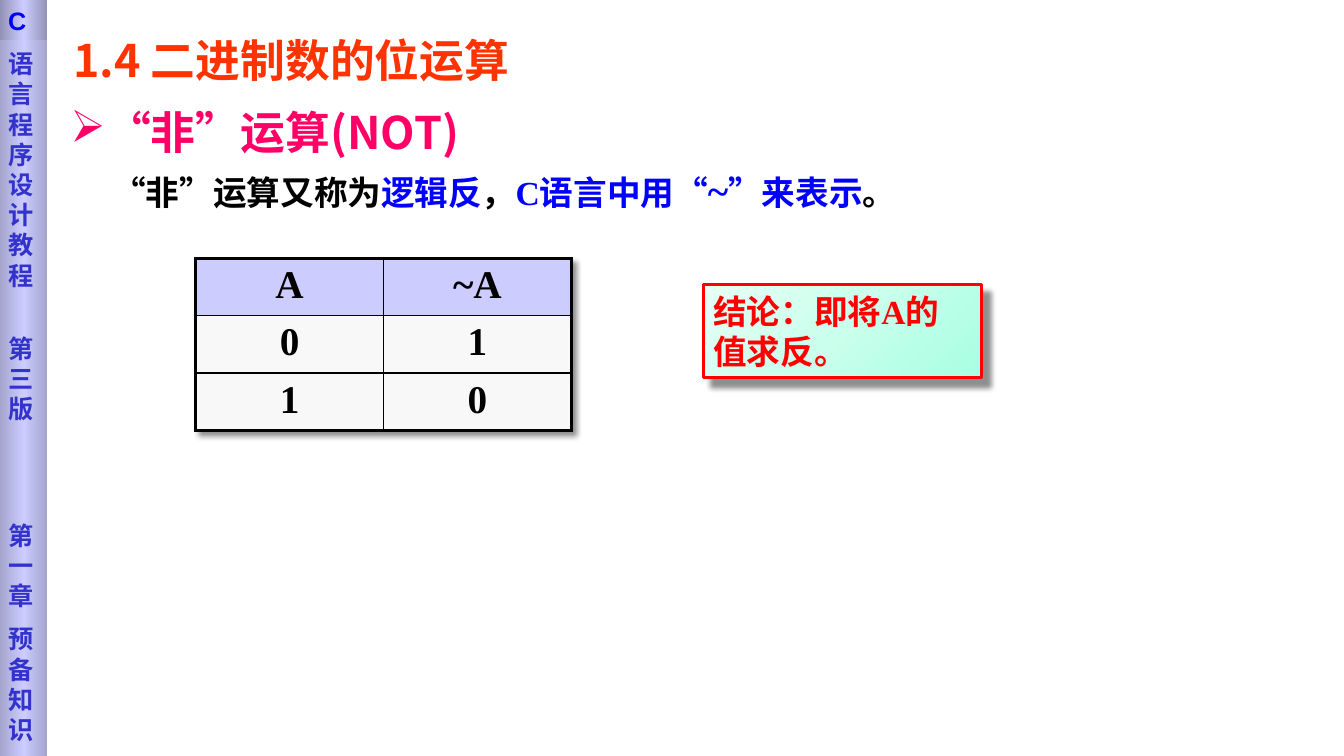
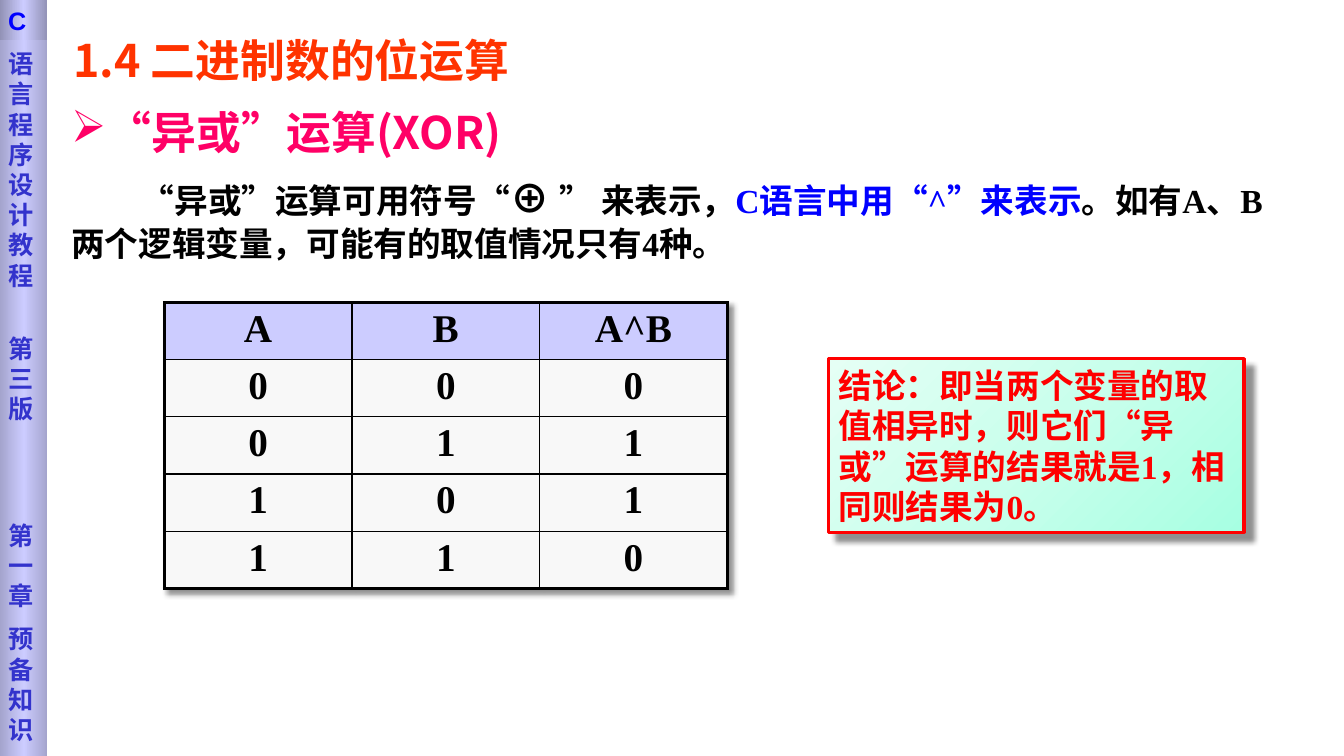
from dataclasses import dataclass
from typing import NamedTuple

from lxml import etree
from pptx import Presentation
from pptx import util as u
from pptx.dml import color
from pptx.enum import shapes, text
from pptx.oxml import ns

COLUMN = u.Inches(13.333) / 160
ROW = u.Inches(7.5) / 90
BLACK, BLUE, RED, PINK, ORANGE, INDIGO = "000000", "0000FF", "FF0000", "FF0066", "FF3300", "3333CC"
HEADER_FILL, CELL_FILL = "CCCCFF", "F8F8F8"
MINT = [(0, "A7FFE2"), (50, "C9FFEC"), (100, "E5FFF5")]
BAR = [(0, "A4A4CD"), (50, "CCCCFF"), (100, "A4A4CD")]
CAP = [(0, "9292B6"), (50, "CCCCFF"), (100, "9292B6")]
SANS, SERIF, LATIN = "Noto Sans CJK SC", "Times New Roman", "Arial"
LINE = 1.2
SECTION = "1.4 二进制数的位运算"


class Area(NamedTuple):
    left: float
    top: float
    width: float
    height: float

    def emu(self) -> tuple[int, int, int, int]:
        return (round(self.left * COLUMN), round(self.top * ROW),
                round(self.width * COLUMN), round(self.height * ROW))


class Part(NamedTuple):
    words: str
    size: float = 24
    hue: str = BLACK
    font: str = SERIF


class SideLine(NamedTuple):
    words: str
    gap: float


@dataclass
class Operation:
    name: str
    english: str
    body: Area
    indent: float
    gap: float
    explanation: list[Part]
    table_left: float
    table_top: float
    truth: list[str]
    conclusion_area: Area
    conclusion: str


SIDE_LINES = [SideLine("语言程序设计教程", 0), SideLine("第三版", 30.5),
              SideLine("第一章", 69), SideLine("预备知识", 9)]

OPERATIONS = [
    Operation(
        "非", "NOT", Area(7.2, 11.9, 106.8, 14.8), 5, 10,
        [Part("“非”运算又称为"), Part("逻辑反", hue=BLUE), Part("，"),
         Part("C语言中用“", hue=BLUE), Part("~", 28, BLUE),
         Part("”来表示", hue=BLUE), Part("。")],
        23.3, 30.8, ["A ~A", "0 1", "1 0"],
        Area(83.75, 33.85, 33.1, 11.15), "即将A的值求反。"),
    Operation(
        "异或", "XOR", Area(7.3, 11.9, 146.3, 23.3), 8.3, 16.5,
        [Part("“异或”运算可用符号“"), Part("⊕", 28), Part(" ", 32),
         Part("” 来表示，"), Part("C语言中用“^”来表示", hue=BLUE),
         Part("。如有A、B两个逻辑变量，可能有的取值情况只有4种。")],
        19.55, 36, ["A B A^B", "0 0 0", "0 1 1", "1 0 1", "1 1 0"],
        Area(98.65, 42.7, 49.45, 20.65),
        "即当两个变量的取值相异时，则它们“异或”运算的结果就是1，相同则结果为0。"),
]


def rgb(value: str) -> color.RGBColor:
    return color.RGBColor.from_string(value)


def child(parent, tag: str, **attributes):
    return etree.SubElement(parent, ns.qn(tag), attributes)


def style_run(run, size: float, hue: str, font: str) -> None:
    run.font.size = u.Pt(size)
    run.font.bold = True
    run.font.color.rgb = rgb(hue)
    run.font.name = font
    properties = run.font._element
    properties.set("lang", "zh-CN")
    child(properties, "a:ea", typeface=SANS)


def write(paragraph, parts: list[Part], leading: float, gap: float = 0) -> None:
    paragraph.alignment = text.PP_ALIGN.LEFT
    paragraph.line_spacing = u.Pt(leading)
    paragraph.space_before = u.Pt(gap)
    for part in parts:
        run = paragraph.add_run()
        run.text = part.words
        style_run(run, part.size, part.hue, part.font)


def add_shadow(holder, opacity: int, blur: float, distance: float, index: int) -> None:
    effects = etree.Element(ns.qn("a:effectLst"))
    shadow = child(effects, "a:outerShdw", blurRad=str(u.Pt(blur)), dist=str(u.Pt(distance)),
                   dir="2700000", algn="ctr", rotWithShape="0")
    child(child(shadow, "a:srgbClr", val=BLACK), "a:alpha", val=str(opacity * 1000))
    holder.insert(index, effects)


def add_panel(slide, area: Area, stops: list[tuple[int, str]], angle: int):
    panel = slide.shapes.add_shape(shapes.MSO_SHAPE.RECTANGLE, *area.emu())
    panel.shadow.inherit = False
    panel.line.fill.background()
    properties = panel._element.spPr
    gradient = etree.Element(ns.qn("a:gradFill"), rotWithShape="1")
    stop_list = child(gradient, "a:gsLst")
    for position, hue in stops:
        stop = child(stop_list, "a:gs", pos=str(position * 1000))
        child(stop, "a:srgbClr", val=hue)
    child(gradient, "a:lin", ang=str(angle * 60000), scaled="0")
    properties.insert(2, gradient)
    panel.text_frame.word_wrap = True
    return panel


def add_sidebar(slide) -> None:
    bar = add_panel(slide, Area(0, 0, 5.65, 90), BAR, 0)
    frame = bar.text_frame
    frame.vertical_anchor = text.MSO_ANCHOR.TOP
    frame.margin_left = u.Inches(0.08)
    frame.margin_top = u.Inches(0.48)
    for index, line in enumerate(SIDE_LINES):
        paragraph = frame.add_paragraph() if index else frame.paragraphs[0]
        write(paragraph, [Part(line.words, 18, INDIGO, SANS)], 18 * LINE, line.gap)

    cap = add_panel(slide, Area(0, 0, 5.65, 4.8), CAP, 0)
    cap.text_frame.margin_left = u.Inches(0.08)
    write(cap.text_frame.paragraphs[0], [Part("C", 18, BLUE, LATIN)], 18 * LINE)


def add_title(slide) -> None:
    title = slide.shapes.title
    title.left, title.top, title.width, title.height = Area(7.5, 3.24, 91, 7.6).emu()
    frame = title.text_frame
    frame.word_wrap = True
    frame.auto_size = text.MSO_AUTO_SIZE.NONE
    frame.vertical_anchor = text.MSO_ANCHOR.TOP
    write(frame.paragraphs[0], [Part(SECTION, 32, ORANGE, SANS)], 32 * LINE)


def add_explanation(slide, operation: Operation) -> None:
    frame = slide.shapes.add_textbox(*operation.body.emu()).text_frame
    frame.word_wrap = True
    heading = frame.paragraphs[0]
    write(heading, [Part("“", 32, PINK), Part(operation.name, 32, PINK, SANS), Part("”", 32, PINK),
                    Part(f"运算({operation.english})", 32, PINK, SANS)], 32 * LINE)
    properties = heading._p.get_or_add_pPr()
    properties.set("marL", "0")
    properties.set("indent", "0")
    child(properties, "a:buChar", char="➢")

    sentence = frame.add_paragraph()
    write(sentence, operation.explanation, 29, operation.gap)
    sentence._p.get_or_add_pPr().set("indent", str(round(operation.indent * COLUMN)))


def add_borders(cell, outer: list[bool]) -> None:
    properties = cell._tc.get_or_add_tcPr()
    for index, (side, is_outer) in enumerate(zip("LRTB", outer)):
        border = etree.Element(ns.qn(f"a:ln{side}"), w=str(u.Pt(2.25 if is_outer else 1)))
        child(child(border, "a:solidFill"), "a:srgbClr", val=BLACK)
        properties.insert(index, border)


def add_truth_table(slide, operation: Operation) -> None:
    values = [line.split() for line in operation.truth]
    rows, columns = len(values), len(values[0])
    area = Area(operation.table_left, operation.table_top, 22.35 * columns, 6.8 * rows)
    table = slide.shapes.add_table(rows, columns, *area.emu()).table
    add_shadow(table._tbl.tblPr, 43, 4, 4, 0)
    for r, line in enumerate(values):
        for c, value in enumerate(line):
            cell = table.cell(r, c)
            cell.fill.solid()
            cell.fill.fore_color.rgb = rgb(CELL_FILL if r else HEADER_FILL)
            add_borders(cell, [c == 0, c == columns - 1, r == 0, r == rows - 1])
            paragraph = cell.text_frame.paragraphs[0]
            paragraph.text = value
            paragraph.alignment = text.PP_ALIGN.CENTER
            style_run(paragraph.runs[0], 28, BLACK, SERIF)


def add_conclusion(slide, operation: Operation) -> None:
    box = add_panel(slide, operation.conclusion_area, MINT, 225)
    box.line.color.rgb = rgb(RED)
    box.line.width = u.Pt(2.25)
    properties = box._element.spPr
    properties.remove(properties.find(ns.qn("a:effectLst")))
    add_shadow(properties, 43, 4, 8.4, len(properties))
    box.text_frame.vertical_anchor = text.MSO_ANCHOR.MIDDLE
    write(box.text_frame.paragraphs[0],
          [Part("结论：", hue=RED, font=SANS), Part(operation.conclusion, hue=RED)], 24 * LINE)


def main() -> None:
    deck = Presentation()
    deck.slide_width, deck.slide_height = round(COLUMN * 160), round(ROW * 90)
    for operation in OPERATIONS:
        slide = deck.slides.add_slide(deck.slide_layouts[5])
        add_title(slide)
        add_explanation(slide, operation)
        add_truth_table(slide, operation)
        add_conclusion(slide, operation)
        add_sidebar(slide)
    deck.save("out.pptx")


if __name__ == "__main__":
    main()
